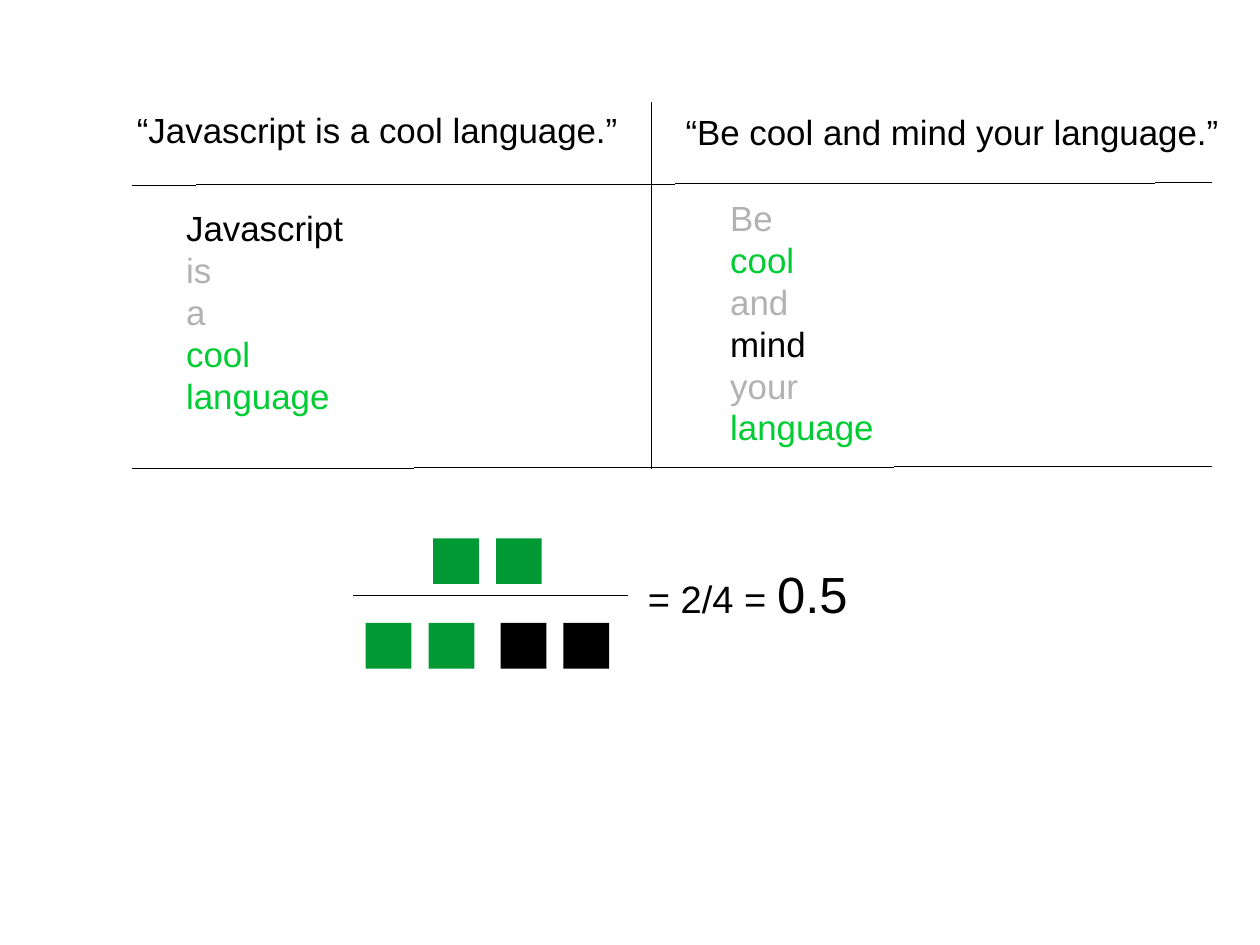
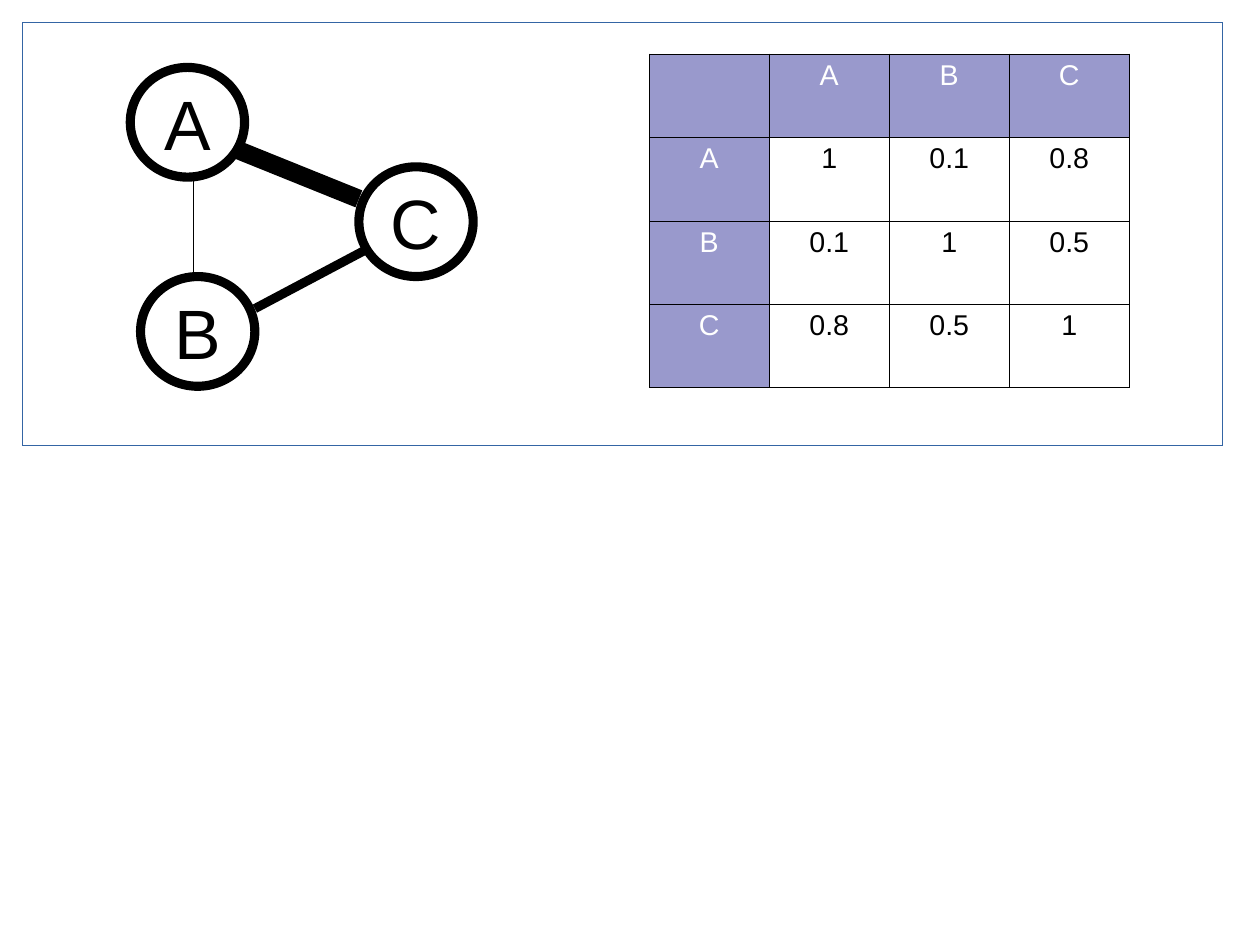
from lxml.etree import SubElement
from pptx import Presentation
from pptx.dml.color import RGBColor
from pptx.enum.shapes import MSO_CONNECTOR, MSO_SHAPE
from pptx.enum.text import MSO_ANCHOR, MSO_AUTO_SIZE, PP_ALIGN
from pptx.oxml.ns import qn
from pptx.util import Cm, Inches, Pt

FONT = "Arial"
HAIRLINE = 0
COLORS = {
    "black": "000000",
    "white": "FFFFFF",
    "stop": "B2B2B2",
    "shared": "00CC33",
    "match": "009933",
    "frame": "3465A4",
    "header": "9999CC",
}

# Slide 1: sentence, sentence box, word list box (left, top, width, height)
SENTENCES = [
    ("“Javascript is a cool language.”", (1.1, 0.9, 4.7, 0.44), (1.53, 1.76, 4.7, 1.81)),
    ("“Be cool and mind your language.”", (5.9, 0.92, 4.9, 0.44), (6.29, 1.67, 2.71, 2.15)),
]
STOP_WORDS = {"is", "a", "Be", "and", "your"}
RULES = [
    (3.09, 5.21, 5.49, 5.21),
    (1.16, 1.62, 10.6, 1.6),
    (1.16, 4.1, 10.6, 4.08),
    (5.7, 0.9, 5.7, 4.1),
]
SQUARE, SQUARE_PITCH = 0.4, 0.55
SQUARE_PAIRS = [(3.79, 4.71, "match"), (3.2, 5.45, "match"), (4.38, 5.45, "black")]
RESULT = [("= 2/4 = ", 24), ("0.5", 32)]

# Slide 2
NODE_SIZE = (1, 0.96)
NODES = {"A": (1.14, 0.59), "B": (1.23, 2.42), "C": (3.14, 1.46)}
EDGES = [
    ((2.05, 1.3, 3.14, 1.74), 11.5),
    ((1.69, 1.55, 1.69, 2.42), HAIRLINE),
    ((2.23, 2.7, 3.23, 2.17), 5.75),
]
SIMILARITY = [
    ["", "A", "B", "C"],
    ["A", "1", "0.1", "0.8"],
    ["B", "0.1", "1", "0.5"],
    ["C", "0.8", "0.5", "1"],
]
TABLE_LEFT, TABLE_TOP, COL_WIDTH, ROW_HEIGHT = 5.68, 0.47, 1.05, 0.73


def rgb(name):
    return RGBColor.from_string(COLORS[name])


def inches(values):
    return [Inches(v) for v in values]


def add_run(p, text, size, color="black"):
    r = p.add_run()
    r.text = text
    r.font.name, r.font.size = FONT, Pt(size)
    r.font.color.rgb = rgb(color)


def add_text(s, box, paragraphs):
    """Each paragraph is a list of (text, size, color) runs."""
    tf = s.shapes.add_textbox(*inches(box)).text_frame
    tf.word_wrap = True
    tf.auto_size = MSO_AUTO_SIZE.SHAPE_TO_FIT_TEXT
    for i, runs in enumerate(paragraphs):
        p = tf.add_paragraph() if i else tf.paragraphs[0]
        for run in runs:
            add_run(p, *run)


def drop_theme_style(sp):
    """Without the theme's line style, a zero width stays a hairline."""
    sp._element.remove(sp._element.find(qn("p:style")))


def add_shape(s, kind, box, fill, line=None, width=HAIRLINE):
    sp = s.shapes.add_shape(kind, *inches(box))
    drop_theme_style(sp)
    sp.shadow.inherit = False
    sp.fill.solid()
    sp.fill.fore_color.rgb = rgb(fill)
    if line:
        sp.line.color.rgb = rgb(line)
        sp.line.width = Pt(width)
    else:
        sp.line.fill.background()
    return sp


def add_line(s, ends, width=HAIRLINE):
    line = s.shapes.add_connector(MSO_CONNECTOR.STRAIGHT, *inches(ends))
    drop_theme_style(line)
    line.line.color.rgb = rgb("black")
    line.line.width = Pt(width)
    SubElement(line._element.spPr, qn("a:effectLst"))


def add_borders(cell):
    tc_pr = cell._tc.get_or_add_tcPr()
    for side in ("a:lnL", "a:lnR", "a:lnT", "a:lnB"):
        ln = SubElement(tc_pr, qn(side), w=str(int(Pt(0.06))))
        fill = SubElement(ln, qn("a:solidFill"))
        SubElement(fill, qn("a:srgbClr"), val=COLORS["black"])


def build_sentences(prs):
    s = prs.slides.add_slide(prs.slide_layouts[6])
    word_lists = [sentence.strip("“.”").split() for sentence, _, _ in SENTENCES]
    shared = set.intersection(*map(set, word_lists))

    def word_color(word):
        if word in shared:
            return "shared"
        return "stop" if word in STOP_WORDS else "black"

    for (sentence, box, words_box), words in zip(SENTENCES, word_lists):
        add_text(s, box, [[(sentence, 22)]])
        add_text(s, words_box, [[(word, 22, word_color(word))] for word in words])
    for left, top, color in SQUARE_PAIRS:
        for i in range(2):
            box = (left + i * SQUARE_PITCH, top, SQUARE, SQUARE)
            add_shape(s, MSO_SHAPE.RECTANGLE, box, color)
    add_text(s, (5.57, 4.87, 2, 0.6), [RESULT])
    for ends in RULES:
        add_line(s, ends)


def build_graph(prs):
    s = prs.slides.add_slide(prs.slide_layouts[6])
    add_shape(s, MSO_SHAPE.RECTANGLE, (0.2, 0.2, 10.5, 3.7), "white", "frame")
    for name, corner in NODES.items():
        node = add_shape(s, MSO_SHAPE.OVAL, corner + NODE_SIZE, "white", "black", 5.75)
        tf = node.text_frame
        tf.word_wrap = False
        tf.vertical_anchor = MSO_ANCHOR.MIDDLE
        tf.margin_left = tf.margin_right = Inches(0.14)
        tf.margin_top = tf.margin_bottom = Inches(0.09)
        p = tf.paragraphs[0]
        p.alignment = PP_ALIGN.CENTER
        add_run(p, name, 44)
    for ends, width in EDGES:
        add_line(s, ends, width)

    rows, cols = len(SIMILARITY), len(SIMILARITY[0])
    box = (TABLE_LEFT, TABLE_TOP, cols * COL_WIDTH, rows * ROW_HEIGHT)
    table = s.shapes.add_table(rows, cols, *inches(box)).table
    table.first_row = table.horz_banding = False
    for i, values in enumerate(SIMILARITY):
        for j, value in enumerate(values):
            is_header = i == 0 or j == 0
            cell = table.cell(i, j)
            add_borders(cell)
            cell.fill.solid()
            cell.fill.fore_color.rgb = rgb("header" if is_header else "white")
            if value:
                p = cell.text_frame.paragraphs[0]
                p.alignment = PP_ALIGN.CENTER
                add_run(p, value, 18, "white" if is_header else "black")


def main():
    prs = Presentation()
    prs.slide_width, prs.slide_height = Cm(28), Cm(21)
    prs.element.sldSz.attrib.pop("type", None)
    build_sentences(prs)
    build_graph(prs)
    prs.save("out.pptx")


if __name__ == "__main__":
    main()
